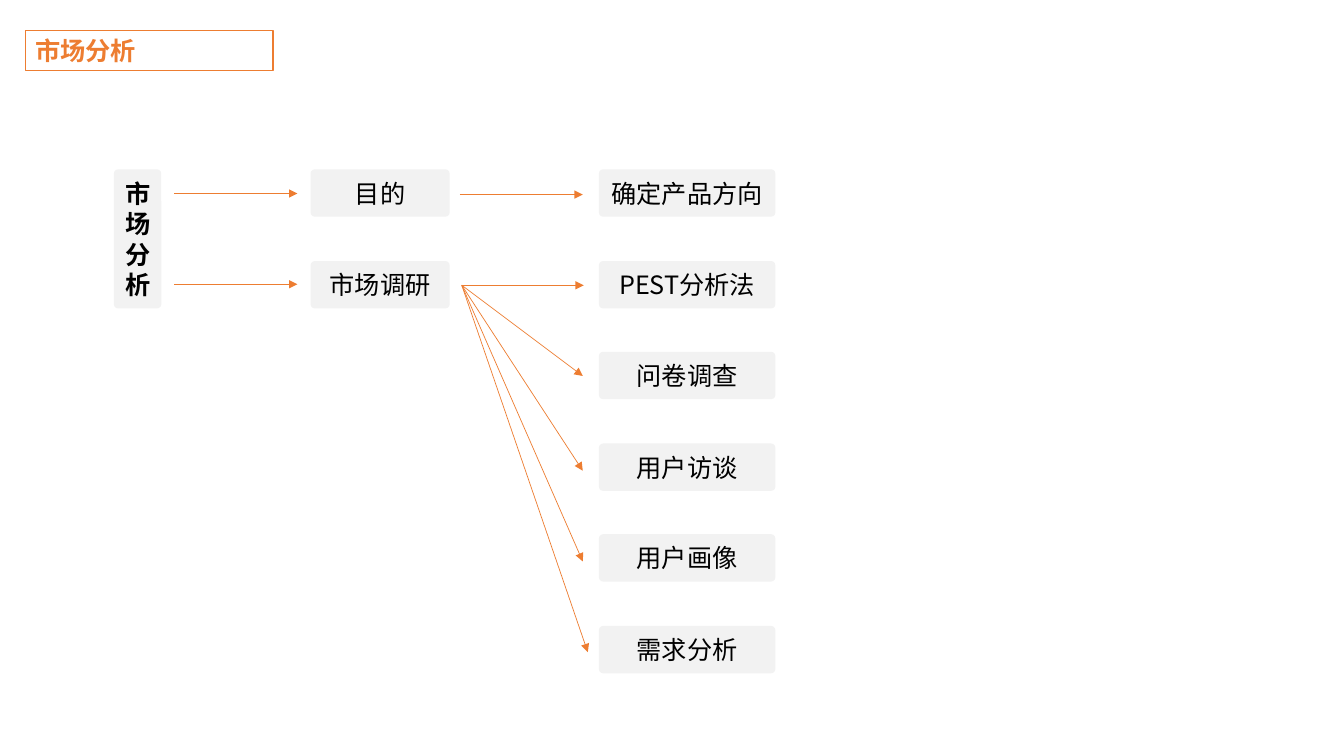
from pptx import Presentation
from pptx.dml.color import RGBColor
from pptx.enum.shapes import MSO_CONNECTOR, MSO_SHAPE
from pptx.enum.text import MSO_ANCHOR, MSO_AUTO_SIZE, PP_ALIGN
from pptx.oxml.ns import qn
from pptx.util import Pt
from lxml.etree import SubElement

PX = 9144  # 100 px to the inch
ORANGE = RGBColor(0xED, 0x7D, 0x31)
GREY = RGBColor(0xF2, 0xF2, 0xF2)
WHITE = RGBColor(0xFF, 0xFF, 0xFF)
BLACK = RGBColor(0, 0, 0)
FONT = "Noto Sans CJK SC"


def write(shape, text, color=BLACK, bold=False, align=PP_ALIGN.CENTER, anchor=MSO_ANCHOR.MIDDLE):
    frame = shape.text_frame
    frame.word_wrap = True
    frame.auto_size = MSO_AUTO_SIZE.NONE
    frame.vertical_anchor = anchor
    paragraph = frame.paragraphs[0]
    paragraph.alignment = align
    run = paragraph.add_run()
    run.text = text
    run.font.size = Pt(18)
    run.font.bold = bold
    run.font.color.rgb = color
    run.font.name = FONT
    SubElement(run.font._element, qn("a:ea"), typeface=FONT)


prs = Presentation()
prs.slide_width, prs.slide_height = 1333 * PX, 750 * PX
slide = prs.slides.add_slide(prs.slide_layouts[5])

# Title
title = slide.shapes.title
title.left, title.top, title.width, title.height = 25 * PX, 30 * PX, 246 * PX, 40 * PX
title.fill.solid()
title.fill.fore_color.rgb = WHITE
title.line.color.rgb = ORANGE
title.line.width = Pt(1)
write(title, "市场分析", color=ORANGE, bold=True, align=PP_ALIGN.LEFT, anchor=MSO_ANCHOR.TOP)

# Columns of the tree: left, width, height, bold, topics
columns = [
    (113, 47, 138, True, ["市场分析"]),
    (308, 138, 47, False, ["目的", "市场调研"]),
    (594, 175, 47, False, ["确定产品方向", "PEST分析法", "问卷调查", "用户访谈", "用户画像", "需求分析"]),
]
for left, width, height, bold, topics in columns:
    for row, topic in enumerate(topics):
        top = round(168 + 90.6 * row)
        box = slide.shapes.add_shape(
            MSO_SHAPE.ROUNDED_RECTANGLE, left * PX, top * PX, width * PX, height * PX)
        box.adjustments[0] = 0.09
        box.shadow.inherit = False
        box.fill.solid()
        box.fill.fore_color.rgb = GREY
        box.line.fill.background()
        write(box, topic, bold=bold)

# Arrows: start point, then the ends it leads to
branches = [
    ((173, 192), [(295, 192)]),
    ((173, 282), [(295, 282)]),
    ((456, 193), [(578, 193)]),
    ((458, 283), [(579, 283), (578, 373), (578, 467), (578, 557), (583, 647)]),
]
for (start_x, start_y), ends in branches:
    for end_x, end_y in ends:
        arrow = slide.shapes.add_connector(
            MSO_CONNECTOR.STRAIGHT, start_x * PX, start_y * PX, end_x * PX, end_y * PX)
        arrow.line.color.rgb = ORANGE
        arrow.line.width = Pt(0.5)
        SubElement(arrow.line._get_or_add_ln(), qn("a:tailEnd"), type="triangle")
        SubElement(arrow._element.spPr, qn("a:effectLst"))

prs.save("out.pptx")
